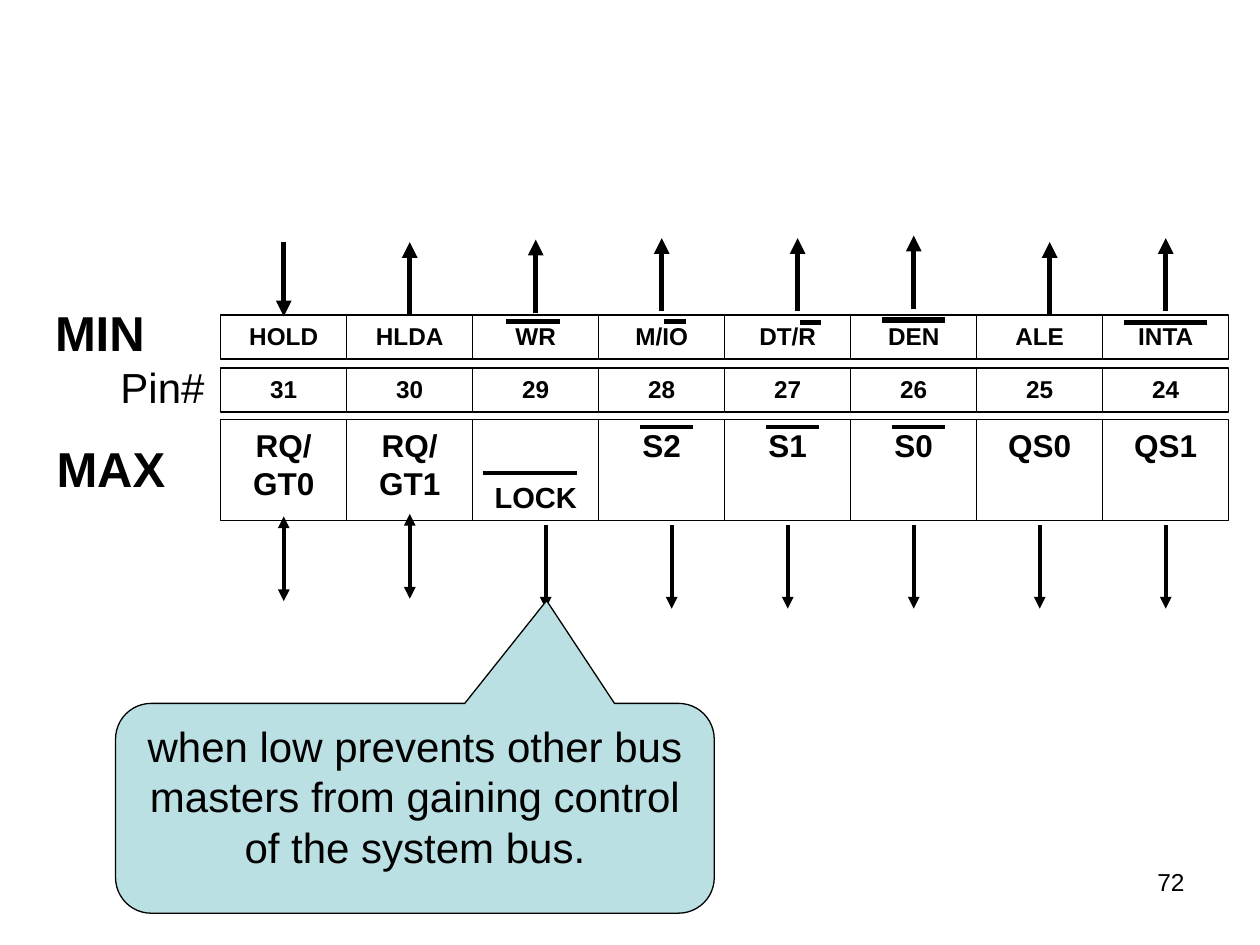
from pptx import Presentation
from pptx.dml.color import RGBColor
from pptx.enum.shapes import MSO_CONNECTOR, MSO_SHAPE
from pptx.enum.text import MSO_ANCHOR as Anchor, PP_ALIGN as Align
from pptx.oxml.ns import qn
from pptx.util import Cm, Pt
from lxml.etree import SubElement

COLORS = {"ink": "000000", "callout": "BBE0E3"}

GRID_LEFT, COLUMN = 4.45, 2.54
MIN_TOP, PIN_TOP, MAX_TOP = 6.35, 7.42, 8.46
ROW_HEIGHT, MAX_HEIGHT = 0.89, 2.03
FIRST_PIN = 31

MIN_SIGNALS = ["HOLD", "HLDA", "WR", "M/IO", "DT/R", "DEN", "ALE", "INTA"]
MAX_SIGNALS = ["RQ/ GT0", "RQ/ GT1", "LOCK", "S2", "S1", "S0", "QS0", "QS1"]

# One entry per column: shift from the column centre, start y, end y
MIN_ARROWS = [(0, 4.88, 6.38), (0, 6.35, 4.88), (0, 6.3, 4.83), (0, 6.27, 4.8),
              (0.2, 6.27, 4.8), (0, 6.22, 4.75), (0.2, 6.35, 4.88), (0, 6.27, 4.8)]
BUS_GRANT_ARROWS = [(0, 10.41, 12.12), (0, 10.36, 12.07)]
MAX_ARROW_SHIFTS = [0.2, 0.2, 0, 0, 0, 0]

# Bars over active-low names: left, right, y
MIN_BARS = [(10.21, 11.28, 6.48), (13.39, 13.82, 6.48), (16.13, 16.56, 6.5),
            (17.78, 19.05, 6.45), (22.66, 24.33, 6.5)]
LOCK_BAR = (9.73, 11.63, 9.53)
STATUS_BARS = [(12.9 + COLUMN * i, 13.97 + COLUMN * i, 8.61) for i in range(3)]


def rgb(name):
    return RGBColor.from_string(COLORS[name])


def write(shape, text, size, bold=False, align=Align.LEFT, anchor=Anchor.TOP, margin=0.25):
    frame = shape.text_frame
    frame_format = {"word_wrap": True, "vertical_anchor": anchor,
                    "margin_left": Cm(margin), "margin_right": Cm(margin),
                    "margin_top": Cm(0.13), "margin_bottom": Cm(0.13)}
    for attribute, value in frame_format.items():
        setattr(frame, attribute, value)
    paragraph = frame.paragraphs[0]
    paragraph.alignment = align
    run = paragraph.add_run()
    run.text = text
    for attribute, value in {"name": "Arial", "size": Pt(size), "bold": bold}.items():
        setattr(run.font, attribute, value)
    run.font.color.rgb = rgb("ink")


def add_outlined(slide, preset, left, top, width, height):
    shape = slide.shapes.add_shape(preset, Cm(left), Cm(top), Cm(width), Cm(height))
    shape.shadow.inherit = False
    shape.fill.background()
    shape.line.color.rgb = rgb("ink")
    shape.line.width = Pt(0.75)
    return shape


def add_row(slide, labels, top, height, size):
    for column, label in enumerate(labels):
        cell = add_outlined(slide, MSO_SHAPE.RECTANGLE,
                            GRID_LEFT + column * COLUMN, top, COLUMN, height)
        anchor = Anchor.BOTTOM if label == "LOCK" else Anchor.TOP
        write(cell, label, 16.6 if label == "LOCK" else size, True,
              Align.CENTER, anchor, margin=0.13)


def add_label(slide, text, left, top, width, height, size, bold=False, align=Align.LEFT):
    box = slide.shapes.add_textbox(Cm(left), Cm(top), Cm(width), Cm(height))
    write(box, text, size, bold, align)


def add_line(slide, start, end, weight, heads=()):
    """Draw a straight line; heads lists the ends ("headEnd", "tailEnd") with arrows."""
    line = slide.shapes.add_connector(MSO_CONNECTOR.STRAIGHT,
                                      *(Cm(value) for value in (*start, *end)))
    line.line.color.rgb = rgb("ink")
    line.line.width = Pt(weight)
    outline = line.line._get_or_add_ln()
    for head in heads:
        SubElement(outline, qn(f"a:{head}"), type="triangle")
    SubElement(line._element.spPr, qn("a:effectLst"))


def add_signal_arrows(slide, arrows, weight, heads=("tailEnd",), first_column=0):
    for column, (shift, start, end) in enumerate(arrows, first_column):
        x = GRID_LEFT + (column + 0.5) * COLUMN + shift
        add_line(slide, (x, start), (x, end), weight, heads)


def add_bars(slide, bars, weight):
    for left, right, y in bars:
        add_line(slide, (left, y), (right, y), weight)


def add_callout(slide, text):
    callout = add_outlined(slide, MSO_SHAPE.ROUNDED_RECTANGULAR_CALLOUT,
                           2.33, 14.18, 12.07, 4.23)
    for index, value in enumerate((0.22, -0.99, 0.17)):
        callout.adjustments[index] = value
    callout.fill.solid()
    callout.fill.fore_color.rgb = rgb("callout")
    write(callout, text, 24, align=Align.CENTER)


def main():
    deck = Presentation()
    deck.slide_width, deck.slide_height = Cm(25.4), Cm(19.05)
    slide = deck.slides.add_slide(deck.slide_layouts[6])

    pins = [str(FIRST_PIN - column) for column in range(len(MIN_SIGNALS))]
    add_row(slide, MIN_SIGNALS, MIN_TOP, ROW_HEIGHT, 13.9)
    add_row(slide, pins, PIN_TOP, ROW_HEIGHT, 13.9)
    add_row(slide, MAX_SIGNALS, MAX_TOP, MAX_HEIGHT, 18)

    add_label(slide, "MIN", 0.86, 5.97, 2.54, 1.45, 28, bold=True)
    add_label(slide, "Pin#", 2.18, 7.16, 2.74, 1.27, 24)
    add_label(slide, "MAX", 0.89, 8.71, 2.74, 1.45, 28, bold=True)

    add_signal_arrows(slide, MIN_ARROWS, 3)
    add_signal_arrows(slide, BUS_GRANT_ARROWS, 2.25, ("headEnd", "tailEnd"))
    max_arrows = [(shift, 10.59, 12.27) for shift in MAX_ARROW_SHIFTS]
    add_signal_arrows(slide, max_arrows, 2.25, first_column=len(BUS_GRANT_ARROWS))
    add_bars(slide, MIN_BARS, 3)
    add_bars(slide, [LOCK_BAR, *STATUS_BARS], 2.25)

    add_callout(slide, "when low prevents other bus masters from gaining control "
                       "of the system bus.")
    add_label(slide, "72", 18.21, 17.35, 5.92, 1.32, 14, align=Align.RIGHT)
    deck.save("out.pptx")


if __name__ == "__main__":
    main()
